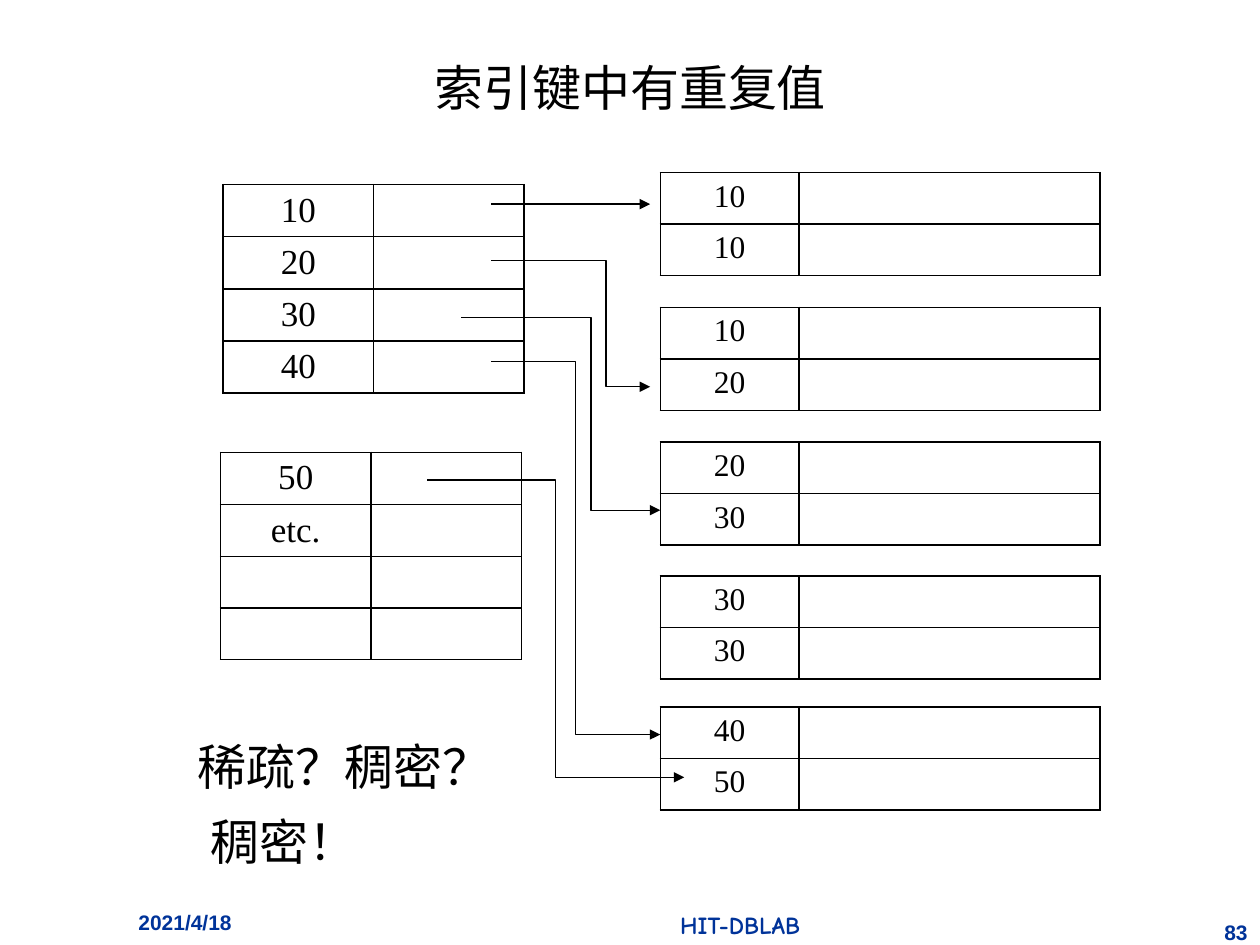
from lxml import etree
from pptx import Presentation
from pptx.dml.color import RGBColor
from pptx.enum.shapes import MSO_CONNECTOR
from pptx.enum.text import MSO_ANCHOR, PP_ALIGN
from pptx.oxml.ns import qn
from pptx.util import Inches, Pt

LEFT, CENTER, RIGHT = PP_ALIGN.LEFT, PP_ALIGN.CENTER, PP_ALIGN.RIGHT
TOP = MSO_ANCHOR.TOP
STRAIGHT, ELBOW = MSO_CONNECTOR.STRAIGHT, MSO_CONNECTOR.ELBOW
COLS, ROWS = 100, 75
BLACK, NAVY = "000000", "003399"
SERIF, SANS, HAN, COMIC = "Times New Roman", "Arial", "Noto Sans CJK JP", "Comic Neue"


def rgb(value):
    return RGBColor.from_string(value)


def child(parent, tag, **attrs):
    return etree.SubElement(parent, qn(tag), **attrs)


class Deck:
    row_height = 4.09
    border = str(Pt(1))

    def __init__(self):
        self.prs = Presentation()
        self.prs.slide_width, self.prs.slide_height = Inches(10), Inches(7.5)
        self.slide = self.prs.slides.add_slide(self.prs.slide_layouts[6])

    def x(self, cols):
        return round(self.prs.slide_width * cols / COLS)

    def y(self, rows):
        return round(self.prs.slide_height * rows / ROWS)

    def style(self, p, size, font, color=BLACK, bold=False, align=LEFT):
        p.alignment = align
        for r in p.runs:
            r.font.size, r.font.name, r.font.bold = Pt(size), font, bold
            r.font.color.rgb = rgb(color)
            if font == HAN:
                child(r.font._element, "a:ea", typeface=font)

    def text(self, words, left, top, width, height, size, font, wrap=True, **look):
        sp = self.slide.shapes.add_textbox(
            self.x(left), self.y(top), self.x(width), self.y(height))
        tf = sp.text_frame
        tf.word_wrap = wrap
        tf.vertical_anchor = TOP
        tf.text = words
        self.style(tf.paragraphs[0], size, font, **look)

    def table(self, keys, left, top, widths, size):
        height = self.row_height * len(keys)
        table = self.slide.shapes.add_table(
            len(keys), len(widths), self.x(left), self.y(top),
            self.x(sum(widths)), self.y(height)).table
        table.first_row = table.horz_banding = False
        for column, width in zip(table.columns, widths):
            column.width = self.x(width)
        for row, key in zip(table.rows, keys):
            row.height = self.y(self.row_height)
            for cell, words in zip(row.cells, (key, "")):
                self.cell(cell, words, size)

    def cell(self, cell, words, size):
        cell.margin_bottom = Inches(0.03)
        cell.vertical_anchor = TOP
        cell.text = words
        self.style(cell.text_frame.paragraphs[0], size, SERIF, align=CENTER)
        tc_pr = cell._tc.get_or_add_tcPr()
        for side in ("a:lnL", "a:lnR", "a:lnT", "a:lnB"):
            line = child(tc_pr, side, w=self.border)
            child(child(line, "a:solidFill"), "a:srgbClr", val=BLACK)
        cell.fill.background()

    def arrow(self, x1, y1, x2, y2, bend=None):
        kind = STRAIGHT if bend is None else ELBOW
        cxn = self.slide.shapes.add_connector(
            kind, self.x(x1), self.y(y1), self.x(x2), self.y(y2))
        cxn.line.width = Pt(0.75)
        cxn.line.color.rgb = rgb(BLACK)
        child(cxn.line._get_or_add_ln(), "a:tailEnd", type="triangle")
        sp_pr = cxn._element.spPr
        child(sp_pr, "a:effectLst")
        if bend is not None:
            guides = sp_pr.find(qn("a:prstGeom")).get_or_add_avLst()
            share = round(100000 * (bend - x1) / (x2 - x1))
            child(guides, "a:gd", name="adj1", fmla=f"val {share}")


def main():
    deck = Deck()

    footer = dict(color=NAVY, bold=True)
    deck.text("2021/4/18", 10, 71.7, 17.5, 3.3, 12, SANS, **footer)
    deck.text("HIT-DBLAB", 35, 71.7, 47.5, 3.3, 14, COMIC, align=CENTER, **footer)
    deck.text("83", 95.8, 72.5, 4.2, 2.5, 12, SANS, align=RIGHT, **footer)

    index_blocks = [
        (17.7, 14.65, ("10", "20", "30", "40")),
        (17.5, 35.9, ("50", "etc.", "", "")),
    ]
    for left, top, keys in index_blocks:
        deck.table(keys, left, top, (11.95, 11.95), 20)

    data_blocks = [
        (13.7, ("10", "10")),
        (24.4, ("10", "20")),
        (35.1, ("20", "30")),
        (45.7, ("30", "30")),
        (56.1, ("40", "50")),
    ]
    for top, keys in data_blocks:
        deck.table(keys, 52.4, top, (11, 23.9), 18)

    pointers = [
        (39, 16.2, 51.6, 16.2),
        (39, 20.7, 51.6, 30.7, 48.1),
        (36.6, 25.2, 52.4, 40.5, 46.9),
        (39, 28.7, 52.4, 58.3, 45.7),
        (33.9, 38.1, 54.3, 61.7, 44.1),
    ]
    for pointer in pointers:
        deck.arrow(*pointer)

    captions = [
        ("稀疏？稠密？", 14.7, 58, 25.6),
        ("稠密！", 15.7, 63.9, 13.8),
        ("索引键中有重复值", 33.5, 4.1, 33.4),
    ]
    for words, left, top, width in captions:
        deck.text(words, left, top, width, 5.7, 28, HAN, wrap=False)

    deck.prs.save("out.pptx")


if __name__ == "__main__":
    main()
